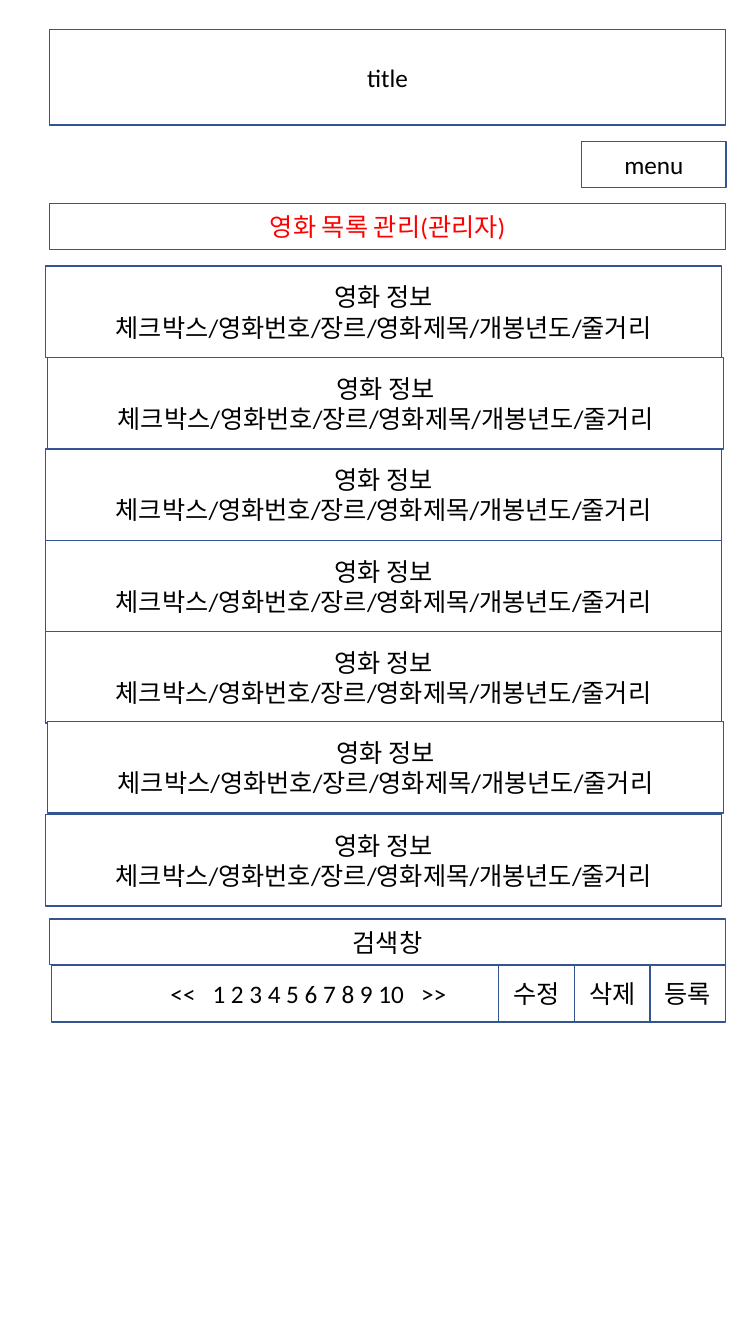
import pptx
import pptx.dml.color
import pptx.enum.shapes
import pptx.enum.text
import pptx.util

Pt = pptx.util.Pt

LEFT, WIDTH = 35.3, 483.1
BAR_HEIGHT = 32.6
RIGHT = LEFT + WIDTH


def color(hex_string):
    return pptx.dml.color.RGBColor.from_string(hex_string)


class Wireframe:
    font_name = "Calibri"
    font_size = 18
    fill = "FFFFFF"
    line = "325491"
    text_color = "000000"

    def __init__(self, slide):
        self.slide = slide

    def box(self, left, top, width, height, lines, text_color=text_color):
        """Draw an outlined box; each line of text is one paragraph."""
        shape = self.slide.shapes.add_shape(
            pptx.enum.shapes.MSO_SHAPE.RECTANGLE,
            Pt(left), Pt(top), Pt(width), Pt(height))
        shape.shadow.inherit = False
        shape.fill.solid()
        shape.fill.fore_color.rgb = color(self.fill)
        shape.line.color.rgb = color(self.line)
        shape.line.width = Pt(1)
        frame = shape.text_frame
        frame.word_wrap = True
        frame.vertical_anchor = pptx.enum.text.MSO_ANCHOR.MIDDLE
        frame.text = "\n".join(lines)
        for paragraph in frame.paragraphs:
            paragraph.alignment = pptx.enum.text.PP_ALIGN.CENTER
            paragraph.font.name = self.font_name
            paragraph.font.size = Pt(self.font_size)
            paragraph.font.color.rgb = color(text_color)
        return shape

    def pager(self, left, top, width, height, parts, gap):
        """Draw a box whose parts are set apart by spaces widened by gap."""
        paragraph = self.box(left, top, width, height, [""]).text_frame.paragraphs[0]
        for index, part in enumerate(parts):
            if index:
                space = paragraph.add_run()
                space.text = " "
                space.font._element.set("spc", str(gap * 100))
            paragraph.add_run().text = part


def main():
    presentation = pptx.Presentation()
    presentation.slide_width = Pt(540)
    presentation.slide_height = Pt(960)
    slide = presentation.slides.add_slide(presentation.slide_layouts[6])
    wireframe = Wireframe(slide)

    wireframe.box(LEFT, 20.9, WIDTH, 68.4, ["title"])
    wireframe.box(RIGHT - 102.8, 101.3, 103, BAR_HEIGHT, ["menu"])
    wireframe.box(LEFT, 145.6, WIDTH, BAR_HEIGHT, ["영화 목록 관리(관리자)"], "FF0000")

    movie_lines = ["영화 정보", "체크박스/영화번호/장르/영화제목/개봉년도/줄거리"]
    row_height = 65.3
    row_offsets = {1: (1.4, 0), 5: (1.4, -1.1)}
    for row in range(7):
        shift_x, shift_y = row_offsets.get(row, (0, 0))
        wireframe.box(32.4 + shift_x, 190.1 + row * row_height + shift_y,
                      WIDTH, row_height, movie_lines)

    wireframe.box(LEFT, 656.6, WIDTH, BAR_HEIGHT, ["검색창"])

    footer_top, footer_height, button_width = 689.2, 41, 54.1
    wireframe.pager(36.7, footer_top, 367.2, footer_height,
                    ["<<", "1 2 3 4 5 6 7 8 9 10", ">>"], gap=8)
    for position, label in enumerate(["등록", "삭제", "수정"], start=1):
        wireframe.box(RIGHT - position * button_width, footer_top,
                      button_width, footer_height, [label])

    presentation.save("out.pptx")


if __name__ == "__main__":
    main()
